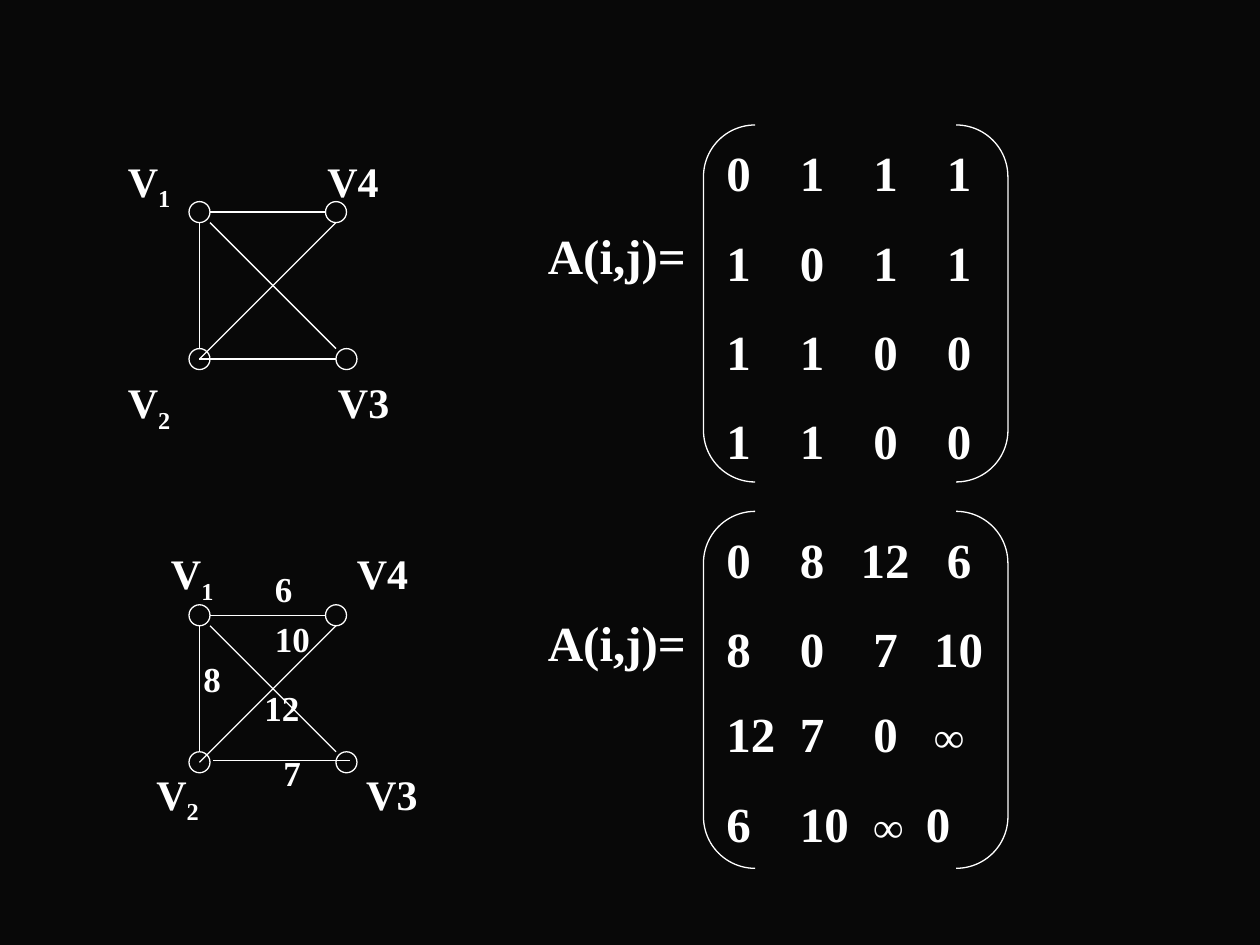
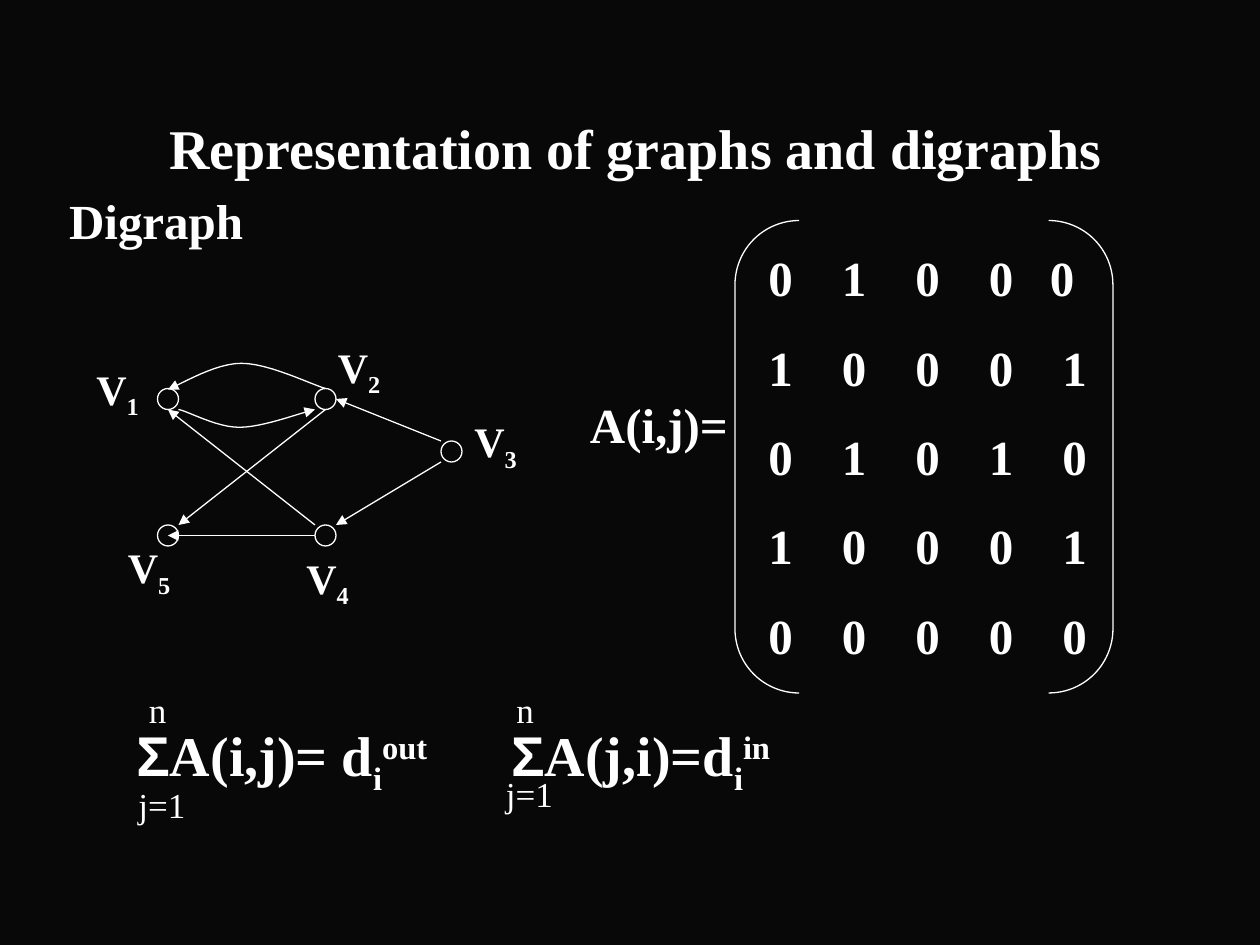
"""Two slides on adjacency matrices of graphs and digraphs."""
from lxml.etree import SubElement
from pptx import Presentation
from pptx.dml.color import RGBColor as RGB
from pptx.enum.shapes import MSO_CONNECTOR as CONN, MSO_SHAPE as SHAPE
from pptx.enum.text import MSO_ANCHOR as ANCHOR, PP_ALIGN as ALIGN
from pptx.oxml.ns import qn
from pptx.util import Pt

PX = 7620
COLORS = {"bg": "080808", "ink": "FFFFFF"}
BASE = {"name": "Times New Roman", "size": Pt(24), "bold": True}
BIG = {"size": Pt(28)}
HEAD = {"size": Pt(32)}
SMALL = {"size": Pt(20)}
LIMIT = {"size": Pt(20), "bold": False}
SIGMA = {"size": Pt(32), "name": "Arial"}
INF = {"size": Pt(24)}


def write(s, x, y, w, paras, fmt, stops=(), gaps=()):
    """Add a text box; each paragraph is a list of (text, format, baseline) runs."""
    tf = s.shapes.add_textbox(x * PX, y * PX, w * PX, 60 * PX).text_frame
    tf.word_wrap = True
    for i, runs in enumerate(paras):
        p = tf.paragraphs[0] if i == 0 else tf.add_paragraph()
        if i:
            p.space_before = Pt(gaps[i])
        if stops:
            tabs = SubElement(p._p.get_or_add_pPr(), qn("a:tabLst"))
            for stop in stops[i]:
                SubElement(tabs, qn("a:tab"), pos=str(stop * PX), algn="l")
        for text, extra, baseline in runs:
            r = p.add_run()
            r.text = text
            for key, value in {**BASE, **fmt, **extra}.items():
                setattr(r.font, key, value)
            r.font.color.rgb = RGB.from_string(COLORS["ink"])
            if baseline:
                r._r.get_or_add_rPr().set("baseline", str(baseline * 1000))
    return tf


def outline(shape, arrow=False):
    """Give a shape or connector the thin line, with no shadow."""
    shape.line.color.rgb = RGB.from_string(COLORS["ink"])
    shape.line.width = Pt(0.75)
    if arrow:
        SubElement(shape.line._get_or_add_ln(), qn("a:tailEnd"), type="triangle")
    SubElement(shape._element.spPr, qn("a:effectLst"))


prs = Presentation()
prs.slide_width, prs.slide_height = 1200 * PX, 900 * PX
slides = [prs.slides.add_slide(prs.slide_layouts[6]) for _ in range(2)]
for s in slides:
    s.background.fill.solid()
    s.background.fill.fore_color.rgb = RGB.from_string(COLORS["bg"])
s1, s2 = slides

square = [(180, 192), (180, 332), (320, 332), (310, 192)]
sides = [(200, 202, 310, 202), (190, 212, 190, 332), (200, 212, 320, 332),
         (320, 212, 190, 342)]
DROP = 384
graphs = [
    (s1, square, sides + [(190, 342, 320, 342)], False,
     [("V", "1", 110, 142), ("V", "2", 110, 353), ("V3", "", 310, 353),
      ("V4", "", 300, 142)]),
    (s1, [(x, y + DROP) for x, y in square],
     [(a, b + DROP, c, d + DROP) for a, b, c, d in sides] + [(203, 724, 333, 724)],
     False,
     [("V", "1", 151, 516), ("V", "2", 137, 726), ("V3", "", 337, 726),
      ("V4", "", 328, 516)]),
    (s2, [(150, 370), (150, 500), (300, 500), (300, 370), (420, 420)],
     [(310, 390, 170, 500), (300, 500, 160, 390), (300, 510, 160, 510),
      (420, 420, 320, 380), (420, 440, 320, 500)], True,
     [("V", "1", 80, 340), ("V", "2", 310, 319), ("V", "5", 110, 510),
      ("V", "4", 280, 520), ("V", "3", 440, 390)]),
]
for s, nodes, edges, directed, labels in graphs:
    for x, y in nodes:
        node = s.shapes.add_shape(SHAPE.OVAL, x * PX, y * PX, 20 * PX, 20 * PX)
        node.fill.background()
        outline(node)
    for edge in edges:
        outline(s.shapes.add_connector(CONN.STRAIGHT, *[v * PX for v in edge]), directed)
    for name, sub, x, y in labels:
        runs = [(name, {}, 0)] + ([(sub, {}, -25)] if sub else [])
        write(s, x, y, 100, [runs], {})

for weight, x, y in [("6", 250, 535), ("8", 182, 620), ("7", 258, 710),
                     ("10", 250, 582), ("12", 240, 648)]:
    write(s1, x, y, 80, [[(weight, {}, 0)]], SMALL)

curves = [
    [(170, 390), (180, 392), (206, 407), (228, 407), (250, 407), (284, 394), (300, 390)],
    [(310, 370), (296, 366), (256, 346), (230, 346), (205, 346), (174, 365), (160, 371)],
]
STEPS = 12
for curve in curves:
    points = []
    for start in (0, 3):
        a, b, c, d = curve[start:start + 4]
        for step in range(1, STEPS + 1):
            t = step / STEPS
            u = 1 - t
            points.append([PX * (u**3 * a[k] + 3 * u * u * t * b[k]
                                 + 3 * u * t * t * c[k] + t**3 * d[k]) for k in (0, 1)])
    builder = s2.shapes.build_freeform(curve[0][0] * PX, curve[0][1] * PX)
    builder.add_line_segments(points, close=False)
    arc = builder.convert_to_shape()
    arc.fill.background()
    outline(arc, True)

COLS = [70, 140, 210, 280]
matrices = [
    (s1, (510, 209), (670, 119, 290, 340), (680, 130),
     ["0 1 1 1", "1 0 1 1", "1 1 0 0", "1 1 0 0"], {}),
    (s1, (510, 577), (670, 487, 290, 340), (680, 498),
     ["0 8 12 6", "8 0 7 10", "12 7 0 ∞", "6 10 ∞ 0"],
     {0: [70, 128, 210], 1: [70, 140, 198], 2: [70, 140, 198], 3: [70, 140, 190]}),
    (s2, (550, 370), (700, 210, 360, 450), (720, 230),
     ["0 1 0 0 0", "1 0 0 0 1", "0 1 0 1 0", "1 0 0 0 1", "0 0 0 0 0"],
     {0: [70, 140, 210, 268]}),
]
for s, (x, y), frame, (left, top), rows, shifted in matrices:
    write(s, x, y, 200, [[("A(i,j)=", {}, 0)]], BIG)
    bracket = s.shapes.add_shape(SHAPE.DOUBLE_BRACKET, *[v * PX for v in frame])
    bracket.adjustments[0] = 0.17
    bracket.fill.background()
    outline(bracket)
    paras = []
    for row in rows:
        cells = row.split()
        paras.append([(("\t" if j else "") + cell, INF if cell == "∞" else {}, 0)
                      for j, cell in enumerate(cells)])
    stops = [shifted.get(i, COLS[:len(rows) - 1]) for i in range(len(rows))]
    gaps = [15 if row.endswith("∞") else 17.5 for row in rows]
    write(s, left, top, 370, paras, BIG, stops, gaps)

title = write(s2, 96, 90, 1020, [[("Representation of graphs and digraphs", {}, 0)]], HEAD)
title.paragraphs[0].alignment = ALIGN.CENTER
title.vertical_anchor = ANCHOR.MIDDLE
title._parent.height = 100 * PX
write(s2, 54, 176, 400, [[("Digraph", {}, 0)]], BIG)

for x, body, degree in [(118, "A(i,j)= d", "out"), (475, "A(j,i)=d", "in")]:
    write(s2, x, 680, 340, [[("Σ", SIGMA, 0), (body, {}, 0), ("i", {}, -25),
                             (degree, {}, 30)]], HEAD)
for limit, x, y in [("j=1", 120, 740), ("n", 130, 650), ("n", 480, 650), ("j=1", 470, 730)]:
    write(s2, x, y, 90, [[(limit, {}, 0)]], LIMIT)

prs.save("out.pptx")
